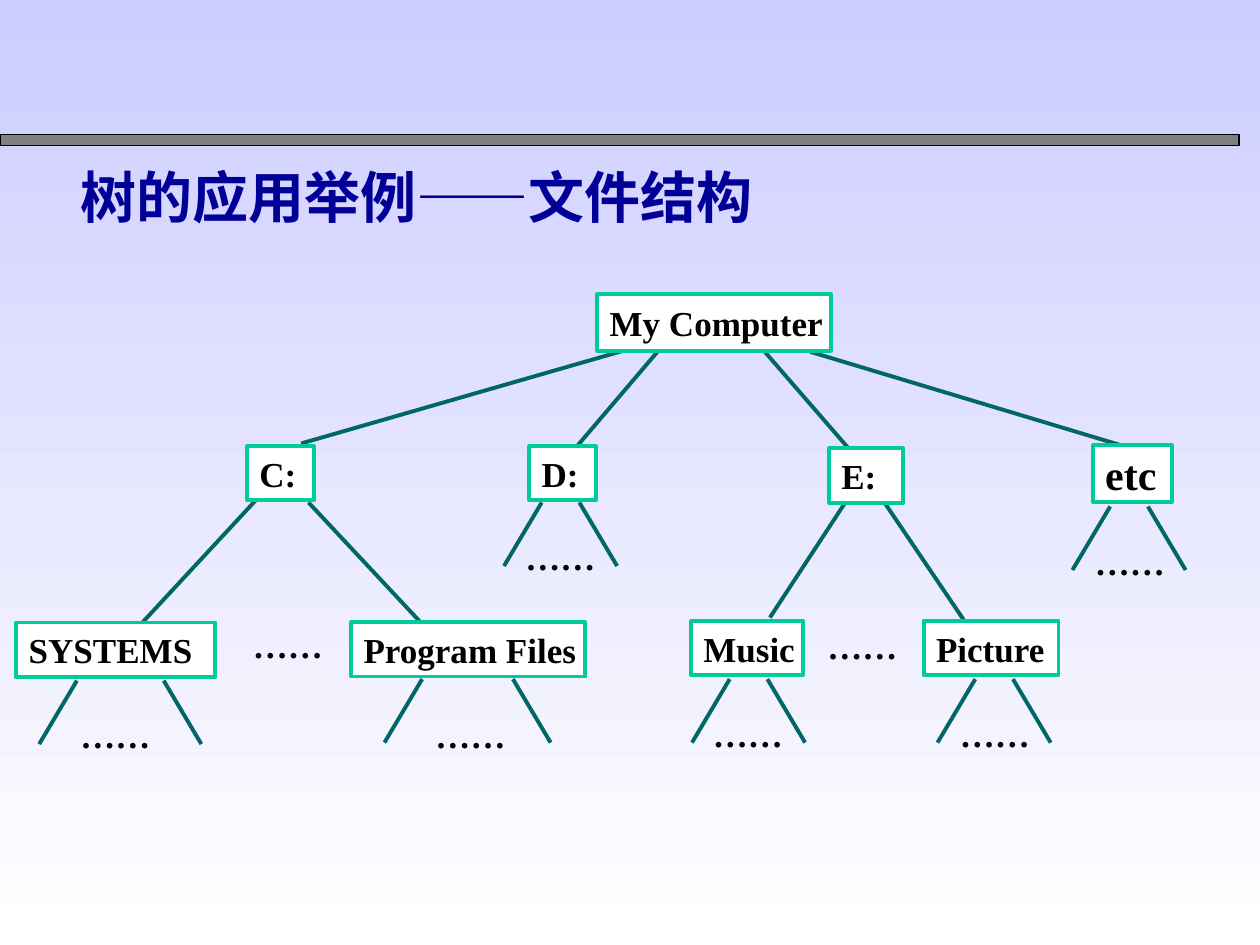
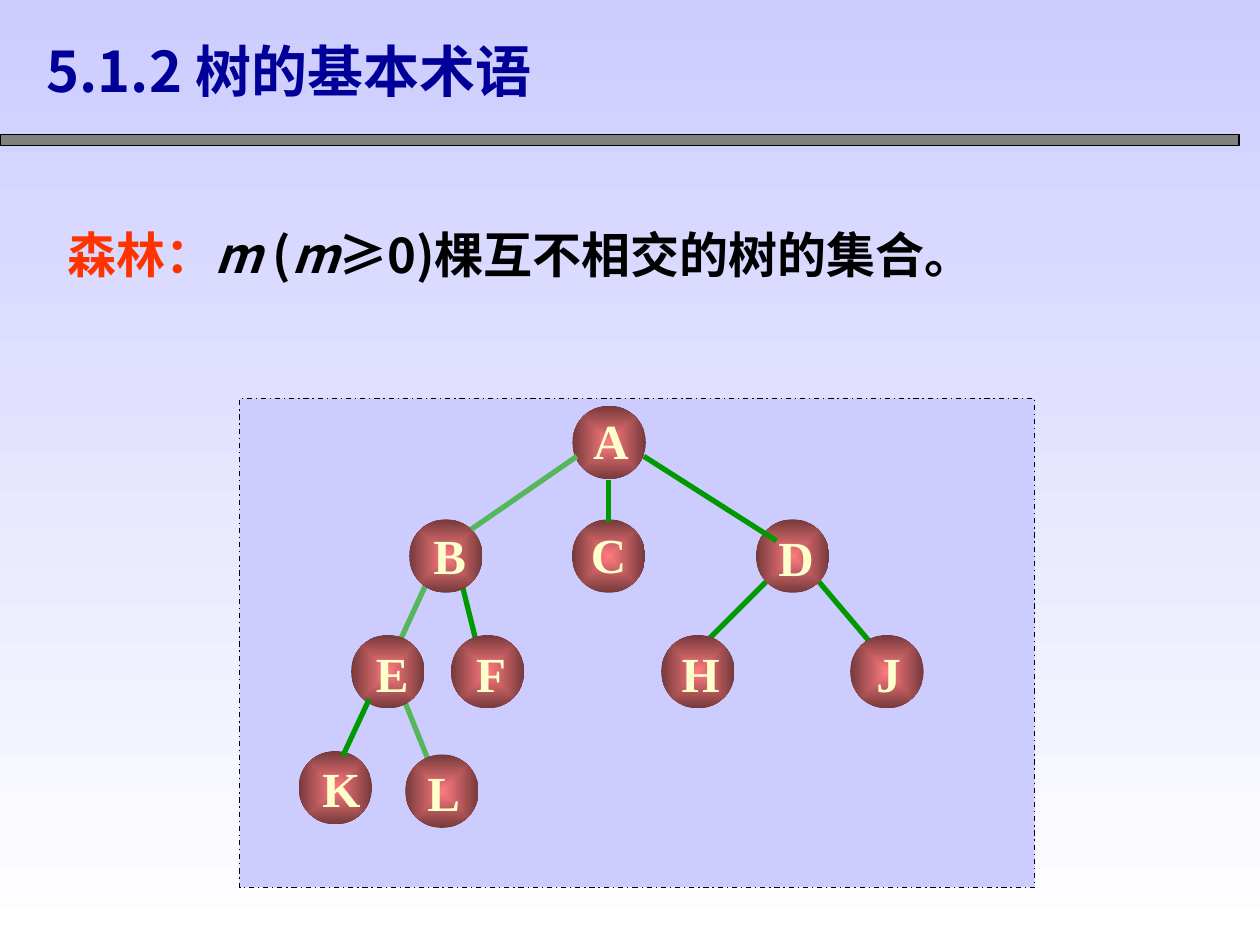
from lxml import etree
from pptx import Presentation
from pptx.dml.color import RGBColor
from pptx.enum.dml import MSO_LINE
from pptx.enum.shapes import MSO_CONNECTOR, MSO_SHAPE
from pptx.enum.text import MSO_ANCHOR, PP_ALIGN
from pptx.oxml import parse_xml
from pptx.oxml.ns import qn
from pptx.util import Cm, Pt

RECTANGLE, OVAL = MSO_SHAPE.RECTANGLE, MSO_SHAPE.OVAL
STRAIGHT, DASH_DOT = MSO_CONNECTOR.STRAIGHT, MSO_LINE.DASH_DOT
TOP, MIDDLE = MSO_ANCHOR.TOP, MSO_ANCHOR.MIDDLE
LEFT, CENTER = PP_ALIGN.LEFT, PP_ALIGN.CENTER
SERIF, SANS, CHINESE = "Times New Roman", "Arial", "Noto Sans CJK SC"

COLORS = {
    "lavender": "CCCCFF",
    "white": "FFFFFF",
    "black": "000000",
    "band": "808080",
    "title": "000099",
    "folder border": "00CC99",
    "branch": "006666",
    "term": "FF3300",
    "edge": "009900",
    "light edge": "55B75A",
    "node center": "FF7C80",
    "node rim": "75393B",
    "node letter": "FFFFCC",
}
COLORS = {name: RGBColor.from_string(value) for name, value in COLORS.items()}


def write(shape, text, size=20, font=SERIF, color="black", italic=False,
          align=LEFT, anchor=MIDDLE, wrap=False):
    frame = shape.text_frame
    frame.word_wrap = wrap
    frame.vertical_anchor = anchor
    paragraph = frame.paragraphs[0]
    paragraph.alignment = align
    run = paragraph.add_run()
    run.text = text
    run.font.size = Pt(size)
    run.font.name = font
    run.font.bold = True
    run.font.italic = italic
    run.font.color.rgb = COLORS[color]
    east_asian = etree.SubElement(run.font._element, qn("a:ea"))
    east_asian.set("typeface", CHINESE)
    return paragraph


def draw_line(slide, ends, color, width):
    line = slide.shapes.add_connector(STRAIGHT, *map(Cm, ends))
    line.line.color.rgb = COLORS[color]
    line.line.width = Pt(width)
    etree.SubElement(line._element.spPr, qn("a:effectLst"))


presentation = Presentation()
presentation.slide_width = Cm(25.4)
presentation.slide_height = Cm(19.05)

titles = [
    ("树的应用举例——文件结构", SANS, (1.37, 3.16, 16.41, 1.63)),
    ("5.1.2 树的基本术语", CHINESE, (0.69, 0.61, 11, 2.97)),
]
slides = []
for title, font, place in titles:
    slide = presentation.slides.add_slide(presentation.slide_layouts[6])
    background = slide.background.fill
    background.gradient()
    background.gradient_angle = 270
    for stop, color in zip(background.gradient_stops, ("lavender", "white")):
        stop.color.rgb = COLORS[color]
    band = slide.shapes.add_shape(RECTANGLE, *map(Cm, (0, 2.71, 24.98, 0.22)))
    band.shadow.inherit = False
    band.fill.solid()
    band.fill.fore_color.rgb = COLORS["band"]
    band.line.color.rgb = COLORS["black"]
    band.line.width = Pt(0.75)
    title_box = slide.shapes.add_textbox(*map(Cm, place))
    write(title_box, title, size=32, font=font, color="title", anchor=TOP, wrap=True)
    slides.append(slide)
file_slide, forest_slide = slides

branches = [
    (12.6, 7.06, 6.07, 8.94), (13.28, 7.06, 11.61, 9.02),
    (15.39, 7.06, 17.09, 9.02), (16.33, 7.09, 22.58, 8.97),
    (5.16, 10.08, 2.87, 12.55), (6.22, 10.13, 8.53, 12.6),
    (17.04, 10.13, 15.52, 12.45), (17.83, 10.13, 19.43, 12.5),
]
twig_pairs = [
    (10.92, 11.68, 10.13), (22.38, 23.14, 10.21), (1.55, 3.3, 13.72),
    (8.51, 10.34, 13.69), (14.71, 15.47, 13.69), (19.66, 20.42, 13.69),
]
for left, right, top in twig_pairs:
    branches.append((left, top, left - 0.76, top + 1.28))
    branches.append((right, top, right + 0.76, top + 1.28))
for branch in branches:
    draw_line(file_slide, branch, "branch", 2.25)

folders = [
    ("My Computer", 20, (12.04, 5.93, 4.72, 1.14)),
    ("C:", 20, (4.98, 9, 1.35, 1.09)),
    ("D:", 20, (10.67, 9, 1.35, 1.09)),
    ("E:", 20, (16.71, 9.04, 1.5, 1.1)),
    ("etc", 24, (22.03, 8.98, 1.6, 1.14)),
    ("SYSTEMS", 20, (0.33, 12.55, 4.01, 1.1)),
    ("Program Files", 20, (7.08, 12.54, 4.72, 1.1)),
    ("Music", 20, (13.93, 12.52, 2.26, 1.09)),
    ("Picture", 20, (18.62, 12.52, 2.72, 1.09)),
]
for name, size, place in folders:
    folder = file_slide.shapes.add_shape(RECTANGLE, *map(Cm, place))
    folder.shadow.inherit = False
    folder.fill.solid()
    folder.fill.fore_color.rgb = COLORS["white"]
    folder.line.color.rgb = COLORS["folder border"]
    folder.line.width = Pt(2.25)
    write(folder, name, size=size)

ellipses = [
    (10.34, 10.67), (21.82, 10.77), (1.37, 14.27), (8.53, 14.27),
    (14.12, 14.25), (19.1, 14.25), (16.43, 12.47), (4.85, 12.45),
]
for left, top in ellipses:
    dots = file_slide.shapes.add_textbox(Cm(left), Cm(top), Cm(2), Cm(1.09))
    write(dots, "……")

definition = forest_slide.shapes.add_textbox(*map(Cm, (1.12, 4.28, 22.02, 1.57)))
definition_runs = [
    ("森林：", "term", False),
    ("m", "black", True),
    (" (", "black", False),
    ("m", "black", True),
    ("≥0)棵互不相交的树的集合。", "black", False),
]
for text, color, italic in definition_runs:
    paragraph = write(definition, text, size=28, font=CHINESE, color=color,
                      italic=italic, anchor=TOP, wrap=True)
paragraph.line_spacing = 1.1

forest = forest_slide.shapes.add_shape(RECTANGLE, *map(Cm, (4.83, 8.03, 16.03, 9.86)))
forest.shadow.inherit = False
forest.fill.solid()
forest.fill.fore_color.rgb = COLORS["lavender"]
forest.line.color.rgb = COLORS["black"]
forest.line.width = Pt(0.75)
forest.line.dash_style = DASH_DOT

back_edges = [
    ((16.51, 11.73, 17.78, 13.23), "edge"),
    ((15.44, 11.73, 14.17, 13), "edge"),
    ((9.3, 11.73, 9.68, 13.26), "edge"),
    ((8.13, 14.07, 8.64, 15.34), "light edge"),
    ((8.61, 11.73, 8.08, 12.88), "light edge"),
]
front_edges = [
    ((7.44, 14.1, 6.91, 15.24), "edge"),
    ((12.98, 9.2, 15.65, 10.9), "edge"),
    ((11.63, 9.2, 9.5, 10.67), "light edge"),
    ((12.27, 9.68, 12.27, 10.52), "edge"),
]
nodes = [
    ("A", (11.54, 8.18), (11.71, 8.14, 1.22)),
    ("B", (8.25, 10.47), (8.48, 10.46, 1.17)),
    ("C", (11.53, 10.47), (11.66, 10.44, 1.22)),
    ("D", (15.24, 10.47), (15.44, 10.51, 1.22)),
    ("E", (7.08, 12.8), (7.32, 12.84, 1.17)),
    ("F", (9.09, 12.8), (9.34, 12.84, 1.12)),
    ("H", (13.33, 12.8), (13.49, 12.84, 1.27)),
    ("J", (17.14, 12.8), (17.42, 12.84, 0.99)),
    ("K", (6.02, 15.14), (6.25, 15.16, 1.27)),
    ("L", (8.17, 15.21), (8.36, 15.24, 1.17)),
]
RADIAL = (
    '<a:path xmlns:a="http://schemas.openxmlformats.org/drawingml/2006/main" path="rect">'
    '<a:fillToRect l="50000" t="50000" r="50000" b="50000"/></a:path>'
)
for ends, color in back_edges:
    draw_line(forest_slide, ends, color, 3)
for letter, corner, label_place in nodes:
    node = forest_slide.shapes.add_shape(OVAL, *map(Cm, (*corner, 1.48, 1.48)))
    node.shadow.inherit = False
    node.line.fill.background()
    node.fill.gradient()
    for stop, color in zip(node.fill.gradient_stops, ("node center", "node rim")):
        stop.color.rgb = COLORS[color]
    linear = node._element.spPr.find(".//" + qn("a:lin"))
    linear.getparent().replace(linear, parse_xml(RADIAL))
    label = forest_slide.shapes.add_textbox(*map(Cm, (*label_place, 1.45)))
    write(label, letter, size=28, color="node letter", align=CENTER)
for ends, color in front_edges:
    draw_line(forest_slide, ends, color, 3)

presentation.save("out.pptx")
